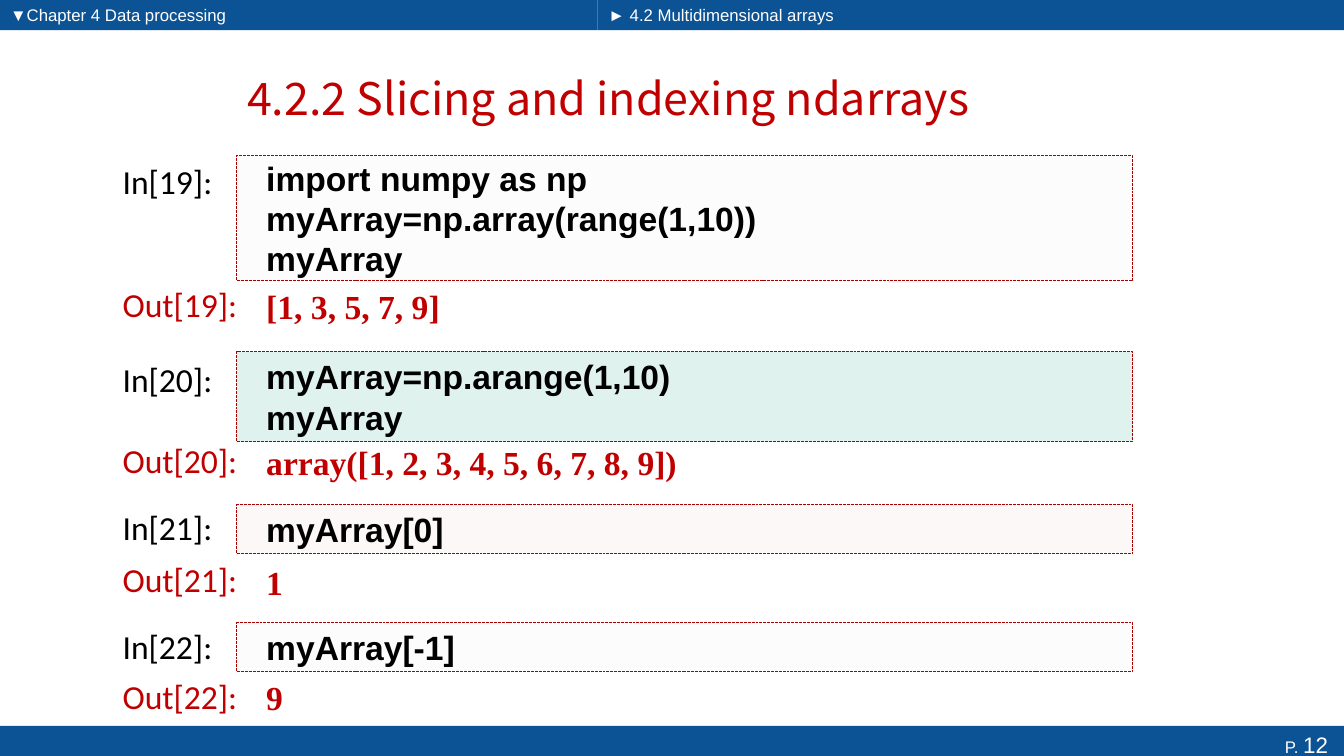
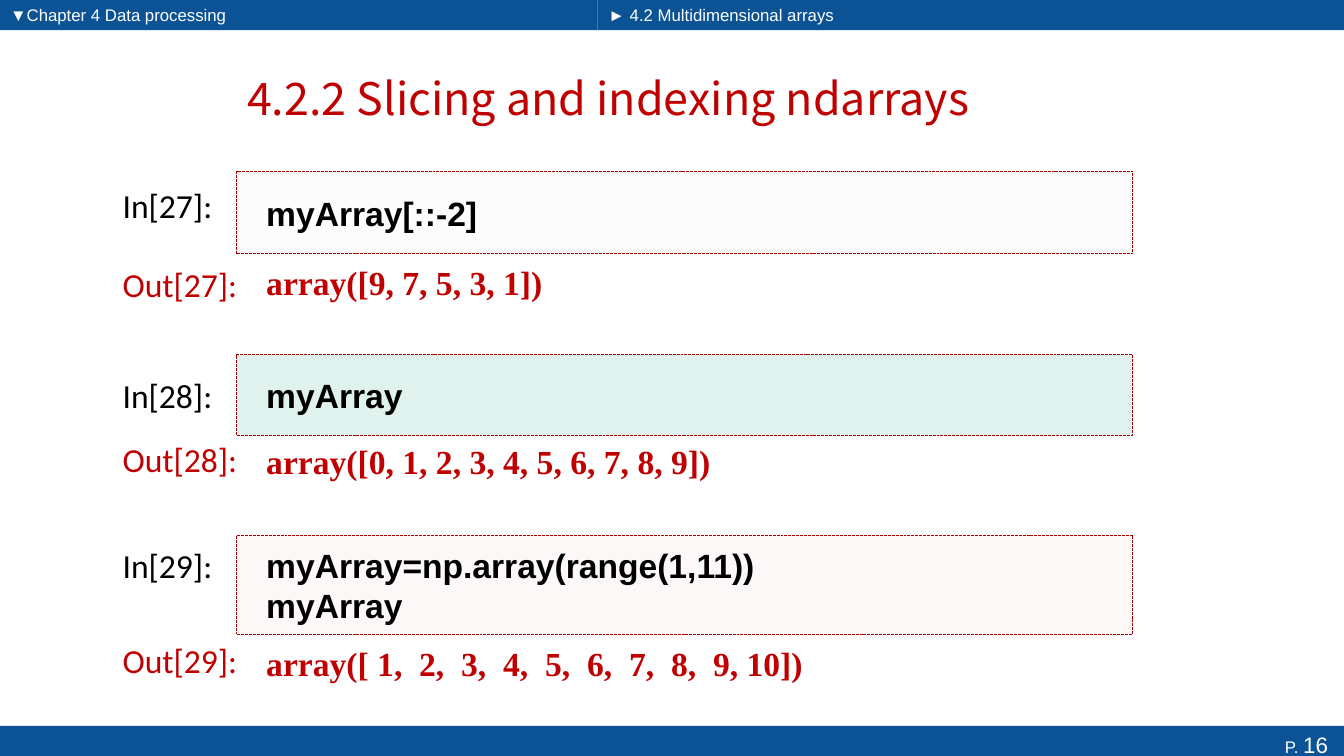
from dataclasses import dataclass

from lxml.etree import SubElement
from pptx import Presentation
from pptx.dml.color import RGBColor
from pptx.enum.dml import MSO_LINE
from pptx.enum.shapes import MSO_SHAPE as Preset
from pptx.enum.text import MSO_ANCHOR as Anchor, MSO_AUTO_SIZE as AutoSize, PP_ALIGN as Align
from pptx.oxml.ns import qn
from pptx.util import Cm, Pt

SLIDE_WIDTH, SLIDE_HEIGHT = 33.87, 19.05
BLUE, RED, BLACK, WHITE = "0B5394", "C00000", "000000", "FFFFFF"
GRAY_TINT, GREEN_TINT, ROSE_TINT = "F1EEF4", "0C9B74", "EDCDCB"
DASH_RED = "AB0000"
TINT_ALPHA = 13000

TITLE = {"name": "Noto Sans CJK SC", "size": Pt(32), "bold": False, "color": RED}
HEADER = {"name": "Arial", "size": Pt(12), "color": WHITE}
PAGE_NUMBER = {**HEADER, "size": Pt(16)}
INPUT_LABEL = {"name": "Calibri", "size": Pt(24), "color": BLACK}
OUTPUT_LABEL = {**INPUT_LABEL, "color": RED}
CODE = {"name": "Arial", "size": Pt(24), "bold": True, "color": BLACK}
RESULT = {**CODE, "name": "Times New Roman", "color": RED}

HEADER_HEIGHT, FOOTER_TOP, HEADER_SPLIT = 0.76, 18.29, 15.06
LABEL_LEFT, LABEL_HEIGHT = 2.84, 1.27
CODE_LEFT, CODE_WIDTH, CODE_INSET = 5.97, 22.58, 0.74
RESULT_WIDTH = 22.2


@dataclass
class Cell:
    number: int
    tint: str
    code: list
    code_top: float
    code_height: float
    input_top: float
    result: str
    result_top: float
    result_height: float
    output_top: float


PAGES = {
    12: [
        Cell(19, GRAY_TINT, ["import numpy as np", "myArray=np.array(range(1,10))", "myArray"],
             3.92, 3.15, 3.94, "[1, 3, 5, 7, 9]", 6.88, 1.65, 7.04),
        Cell(20, GREEN_TINT, ["myArray=np.arange(1,10)", "myArray"],
             8.86, 2.27, 8.92, "array([1, 2, 3, 4, 5, 6, 7, 8, 9])", 10.57, 2.16, 10.97),
        Cell(21, ROSE_TINT, ["myArray[0]"], 12.71, 1.24, 12.65, "1", 13.84, 1.65, 13.97),
        Cell(22, GRAY_TINT, ["myArray[-1]"], 15.69, 1.24, 15.65, "9", 16.74, 1.65, 16.9),
    ],
    16: [
        Cell(27, GRAY_TINT, ["myArray[::-2]"],
             4.32, 2.08, 4.53, "array([9, 7, 5, 3, 1])", 6.28, 1.65, 6.53),
        Cell(28, GREEN_TINT, ["myArray"],
             8.94, 2.03, 9.32, "array([0, 1, 2, 3, 4, 5, 6, 7, 8, 9])", 10.54, 2.16, 10.93),
        Cell(29, ROSE_TINT, ["myArray=np.array(range(1,11))", "myArray"],
             13.49, 2.51, 13.61, "array([ 1,  2,  3,  4,  5,  6,  7,  8,  9, 10])",
             15.88, 1.65, 16),
    ],
}


def color(hex_string):
    return RGBColor.from_string(hex_string)


def add_run(paragraph, text, style):
    run = paragraph.add_run()
    run.text = text
    for attribute, value in style.items():
        if attribute == "color":
            run.font.color.rgb = color(value)
        else:
            setattr(run.font, attribute, value)


def write_lines(shape, lines, style, alignment=Align.LEFT, **frame_format):
    frame = shape.text_frame
    settings = {"word_wrap": True, "auto_size": AutoSize.NONE, **frame_format}
    for attribute, value in settings.items():
        setattr(frame, attribute, value)
    for index, line in enumerate(lines):
        paragraph = frame.add_paragraph() if index else frame.paragraphs[0]
        paragraph.alignment = alignment
        add_run(paragraph, line, style)


def place(shape, left, top, width, height):
    frame = {"left": left, "top": top, "width": width, "height": height}
    for attribute, value in frame.items():
        setattr(shape, attribute, Cm(value))


def add_rectangle(slide, box, fill):
    shape = slide.shapes.add_shape(Preset.RECTANGLE, *map(Cm, box))
    shape.shadow.inherit = False
    shape.fill.solid()
    shape.fill.fore_color.rgb = color(fill)
    return shape


def add_text(slide, box, text, style, **frame_format):
    shape = slide.shapes.add_textbox(*map(Cm, box))
    write_lines(shape, [text], style, **frame_format)


def add_band(slide, box):
    band = add_rectangle(slide, box, BLUE)
    band.line.fill.background()
    slide.shapes.element.insert(2, band.element)
    return band


def add_bands(slide, page):
    add_band(slide, (0, 0, HEADER_SPLIT, HEADER_HEIGHT))
    add_band(slide, (HEADER_SPLIT, 0, SLIDE_WIDTH - HEADER_SPLIT, HEADER_HEIGHT))
    footer = add_band(slide, (0, FOOTER_TOP, SLIDE_WIDTH, SLIDE_HEIGHT - FOOTER_TOP))
    write_lines(footer, ["P. "], HEADER, Align.RIGHT, margin_right=Cm(0.4),
                vertical_anchor=Anchor.TOP)
    add_run(footer.text_frame.paragraphs[0], str(page), PAGE_NUMBER)


def fill_header(placeholder, box, text):
    place(placeholder, *box)
    paragraph = placeholder.text_frame.paragraphs[0]
    paragraph.space_before = Pt(0)
    properties = paragraph._p.get_or_add_pPr()
    for attribute in ("marL", "indent"):
        properties.set(attribute, "0")
    SubElement(properties, qn("a:buNone"))
    write_lines(placeholder, [text], HEADER)


def fill_placeholders(slide):
    title, chapter, section = slide.placeholders
    place(title, 1.72, 1.32, 27.23, 2.29)
    write_lines(title, ["4.2.2 Slicing and indexing ndarrays"], TITLE, Align.CENTER,
                vertical_anchor=Anchor.MIDDLE)
    fill_header(chapter, (0, 0, 12.27, 0.74), "▼Chapter 4 Data processing")
    fill_header(section, (15.08, 0, 8, 0.74), "► 4.2 Multidimensional arrays")


def add_code_box(slide, cell):
    box = (CODE_LEFT, cell.code_top, CODE_WIDTH, cell.code_height)
    shape = add_rectangle(slide, box, cell.tint)
    tint = shape.element.spPr.find(qn("a:solidFill"))[0]
    SubElement(tint, qn("a:alpha"), val=str(TINT_ALPHA))
    shape.line.color.rgb = color(DASH_RED)
    shape.line.width = Pt(0.7)
    shape.line.dash_style = MSO_LINE.SQUARE_DOT
    write_lines(shape, cell.code, CODE, vertical_anchor=Anchor.MIDDLE,
                margin_left=Cm(CODE_INSET))


def add_cell(slide, cell):
    add_text(slide, (LABEL_LEFT, cell.input_top, 3.12, LABEL_HEIGHT),
             f"In[{cell.number}]:", INPUT_LABEL)
    add_code_box(slide, cell)
    add_text(slide, (LABEL_LEFT, cell.output_top, 3.9, LABEL_HEIGHT),
             f"Out[{cell.number}]:", OUTPUT_LABEL)
    add_text(slide, (CODE_LEFT, cell.result_top, RESULT_WIDTH, cell.result_height),
             cell.result, RESULT, vertical_anchor=Anchor.MIDDLE,
             margin_left=Cm(CODE_INSET))


def main():
    presentation = Presentation()
    presentation.slide_width = Cm(SLIDE_WIDTH)
    presentation.slide_height = Cm(SLIDE_HEIGHT)
    layout = presentation.slide_layouts.get_by_name("Two Content")
    for page, cells in PAGES.items():
        slide = presentation.slides.add_slide(layout)
        add_bands(slide, page)
        fill_placeholders(slide)
        for cell in cells:
            add_cell(slide, cell)
    presentation.save("out.pptx")


if __name__ == "__main__":
    main()
